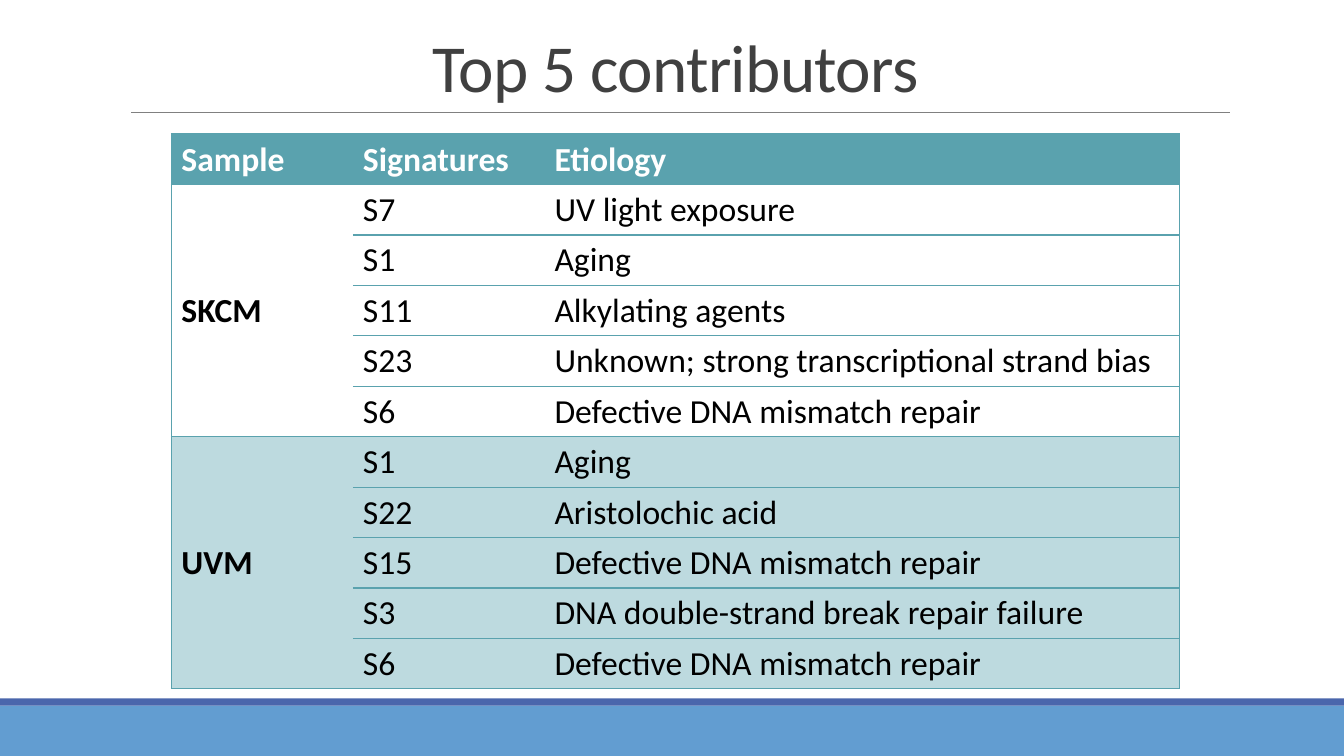
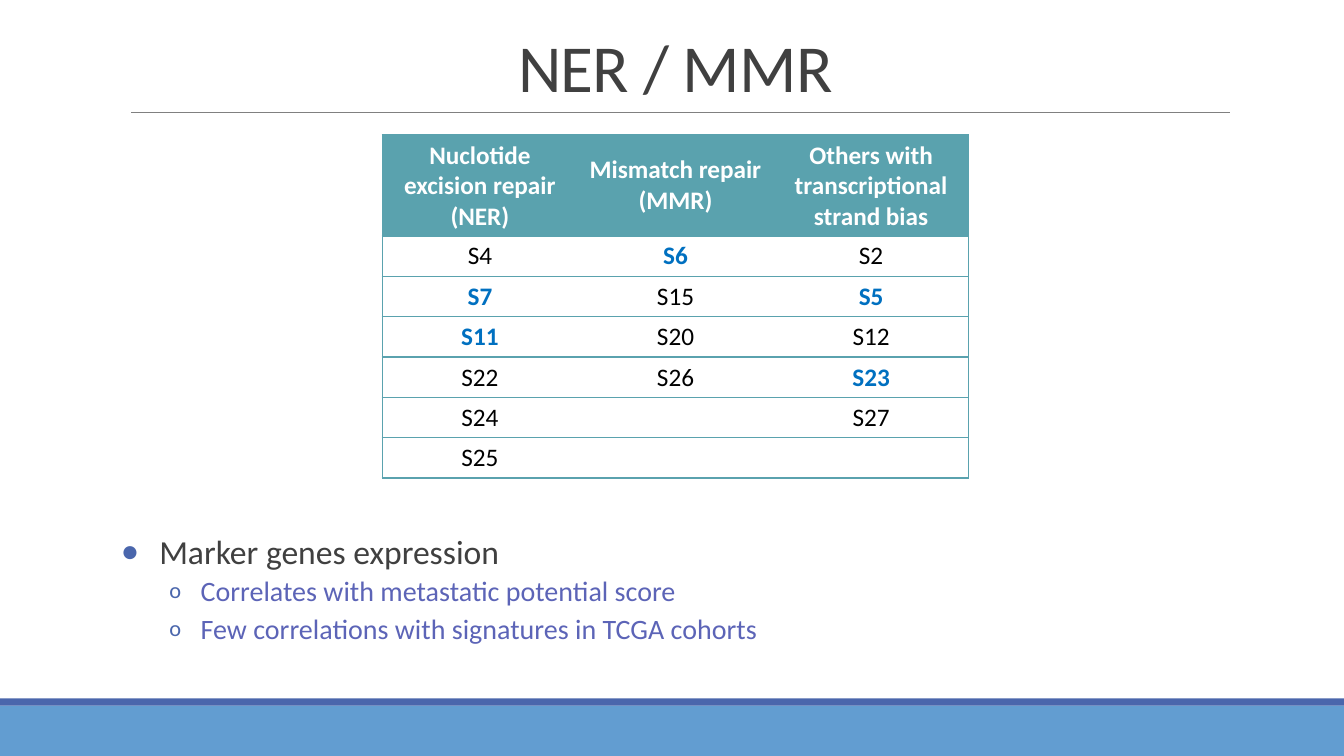
from lxml import etree
from pptx import Presentation
from pptx.dml.color import RGBColor
from pptx.enum.shapes import MSO_CONNECTOR, MSO_SHAPE
from pptx.enum.text import MSO_ANCHOR, PP_ALIGN
from pptx.oxml.ns import qn
from pptx.util import Inches, Pt

rgb = RGBColor.from_string
sub = etree.SubElement

# Shared look
W, H = 13.33, 7.5
FONT = "Calibri"
SKY, NAVY, RULE = "629DD1", "4A66AC", "808080"
TEAL, PALE_TEAL = "5AA2AE", "BDDADF"
WHITE, BLACK, INK = "FFFFFF", "000000", "404040"
VIOLET, HIGHLIGHT = "5C64B7", "0070C0"
MARGIN, CONTENT_W = 1.2, 11
BAND_TOP, STRIPE_H = 7, 0.07


def write(paragraph, text, size, color, bold=False):
    run = paragraph.add_run()
    run.text = text
    run.font.name, run.font.size, run.font.bold = FONT, Pt(size), bold
    run.font.color.rgb = rgb(color)
    return run


def border(cell, sides):
    """Draw the listed sides (L, R, T, B) and clear the others."""
    props = cell._tc.get_or_add_tcPr()
    for side in "LRTB":
        line = sub(props, qn(f"a:ln{side}"), w=str(Pt(1)))
        if side in sides:
            sub(sub(line, qn("a:solidFill")), qn("a:srgbClr"), val=TEAL)
        else:
            sub(line, qn("a:noFill"))


# Content
contributors = [
    ["Sample", "Signatures", "Etiology"],
    ["SKCM", "S7", "UV light exposure"],
    ["", "S1", "Aging"],
    ["", "S11", "Alkylating agents"],
    ["", "S23", "Unknown; strong transcriptional strand bias"],
    ["", "S6", "Defective DNA mismatch repair"],
    ["UVM", "S1", "Aging"],
    ["", "S22", "Aristolochic acid"],
    ["", "S15", "Defective DNA mismatch repair"],
    ["", "S3", "DNA double-strand break repair failure"],
    ["", "S6", "Defective DNA mismatch repair"],
]
repair = [
    ["Nuclotide excision repair (NER)", "Mismatch repair (MMR)",
     "Others with transcriptional strand bias"],
    ["S4", "S6", "S2"],
    ["S7", "S15", "S5"],
    ["S11", "S20", "S12"],
    ["S22", "S26", "S23"],
    ["S24", "", "S27"],
    ["S25", "", ""],
]
pages = [
    dict(title="Top 5 contributors", rows=contributors, left=1.7, top=1.33,
         widths=[1.8, 1.9, 6.3], head_h=0.5, row_h=0.5, size=24,
         align=PP_ALIGN.LEFT, groups=[(1, 5), (6, 10)], shaded=range(6, 11),
         marked=(), bold=("SKCM", "UVM"), notes=[]),
    dict(title="NER / MMR", rows=repair, left=3.79, top=1.34,
         widths=[1.94] * 3, head_h=1, row_h=0.4, size=18,
         align=PP_ALIGN.CENTER, groups=[], shaded=(),
         marked=("S5", "S6", "S7", "S11", "S23"), bold=(),
         notes=[(0, "Marker genes expression"),
                (1, "Correlates with metastatic potential score"),
                (1, "Few correlations with signatures in TCGA cohorts")]),
]
# Per level: left margin, hanging indent, bullet, bullet %, size, colour, before, after
levels = [(0.38, 0.38, "•", 110, 24, INK, 0, 2),
          (0.79, 0.31, "o", 80, 20, VIOLET, 2, 4)]

prs = Presentation()
prs.slide_width, prs.slide_height = Inches(W), Inches(H)

for page in pages:
    slide = prs.slides.add_slide(prs.slide_layouts[6])
    shapes = slide.shapes

    # Footer bands
    for top, height, color in [(BAND_TOP, H - BAND_TOP, SKY),
                               (BAND_TOP - STRIPE_H, STRIPE_H, NAVY)]:
        band = shapes.add_shape(MSO_SHAPE.RECTANGLE, 0, Inches(top),
                                Inches(W), Inches(height))
        band.shadow.inherit = False
        band.fill.solid()
        band.fill.fore_color.rgb = rgb(color)
        band.line.fill.background()

    # Title and the rule under it
    rule = shapes.add_connector(MSO_CONNECTOR.STRAIGHT, Inches(1.3), Inches(1.11),
                                Inches(MARGIN + CONTENT_W), Inches(1.11))
    rule.line.color.rgb, rule.line.width = rgb(RULE), Pt(0.5)
    sub(rule._element.spPr, qn("a:effectLst"))

    heading = shapes.add_textbox(Inches(MARGIN), Inches(0.31),
                                 Inches(CONTENT_W), Inches(0.79)).text_frame
    heading.word_wrap, heading.vertical_anchor = True, MSO_ANCHOR.BOTTOM
    line = heading.paragraphs[0]
    line.alignment, line.line_spacing = PP_ALIGN.CENTER, 0.85
    title = write(line, page["title"], 48, INK)
    title.font._element.set("spc", "-50")

    # Signature table
    rows, widths = page["rows"], page["widths"]
    heights = [page["head_h"]] + [page["row_h"]] * (len(rows) - 1)
    table = shapes.add_table(len(rows), len(widths), Inches(page["left"]),
                             Inches(page["top"]), Inches(sum(widths)),
                             Inches(sum(heights))).table
    table.horz_banding = False
    for column, width in zip(table.columns, widths):
        column.width = Inches(width)
    for row, height in zip(table.rows, heights):
        row.height = Inches(height)
    for first, last in page["groups"]:
        table.cell(first, 0).merge(table.cell(last, 0))

    for r, row in enumerate(rows):
        for c, text in enumerate(row):
            cell = table.cell(r, c)
            outer = {0: "L", len(widths) - 1: "R"}.get(c, "")
            border(cell, outer + ("" if cell.is_spanned else "TB"))
            fill = TEAL if r == 0 else PALE_TEAL if r in page["shaded"] else None
            if fill:
                cell.fill.solid()
                cell.fill.fore_color.rgb = rgb(fill)
            else:
                cell.fill.background()
            centred = cell.is_merge_origin or (r == 0 and not page["groups"])
            cell.vertical_anchor = MSO_ANCHOR.MIDDLE if centred else MSO_ANCHOR.TOP
            if text:
                entry = cell.text_frame.paragraphs[0]
                entry.alignment = page["align"]
                marked = text in page["marked"]
                color = WHITE if r == 0 else HIGHLIGHT if marked else BLACK
                write(entry, text, page["size"], color,
                      r == 0 or marked or text in page["bold"])

    # Bulleted notes
    if page["notes"]:
        notes = shapes.add_textbox(Inches(MARGIN), Inches(5.26),
                                   Inches(CONTENT_W), Inches(1.43)).text_frame
        notes.word_wrap = True
        notes.margin_left = notes.margin_right = 0
    for i, (level, text) in enumerate(page["notes"]):
        note = notes.add_paragraph() if i else notes.paragraphs[0]
        margin, hang, bullet, percent, size, color, before, after = levels[level]
        note.level = level
        props = note._p.get_or_add_pPr()
        props.set("marL", str(Inches(margin)))
        props.set("indent", str(-Inches(hang)))
        sub(sub(props, qn("a:buClr")), qn("a:srgbClr"), val=NAVY)
        sub(props, qn("a:buSzPct"), val=str(percent * 1000))
        sub(props, qn("a:buFont"), typeface=FONT)
        sub(props, qn("a:buChar"), char=bullet)
        note.line_spacing = 0.9
        note.space_before, note.space_after = Pt(before), Pt(after)
        write(note, text, size, color)

prs.save("out.pptx")
